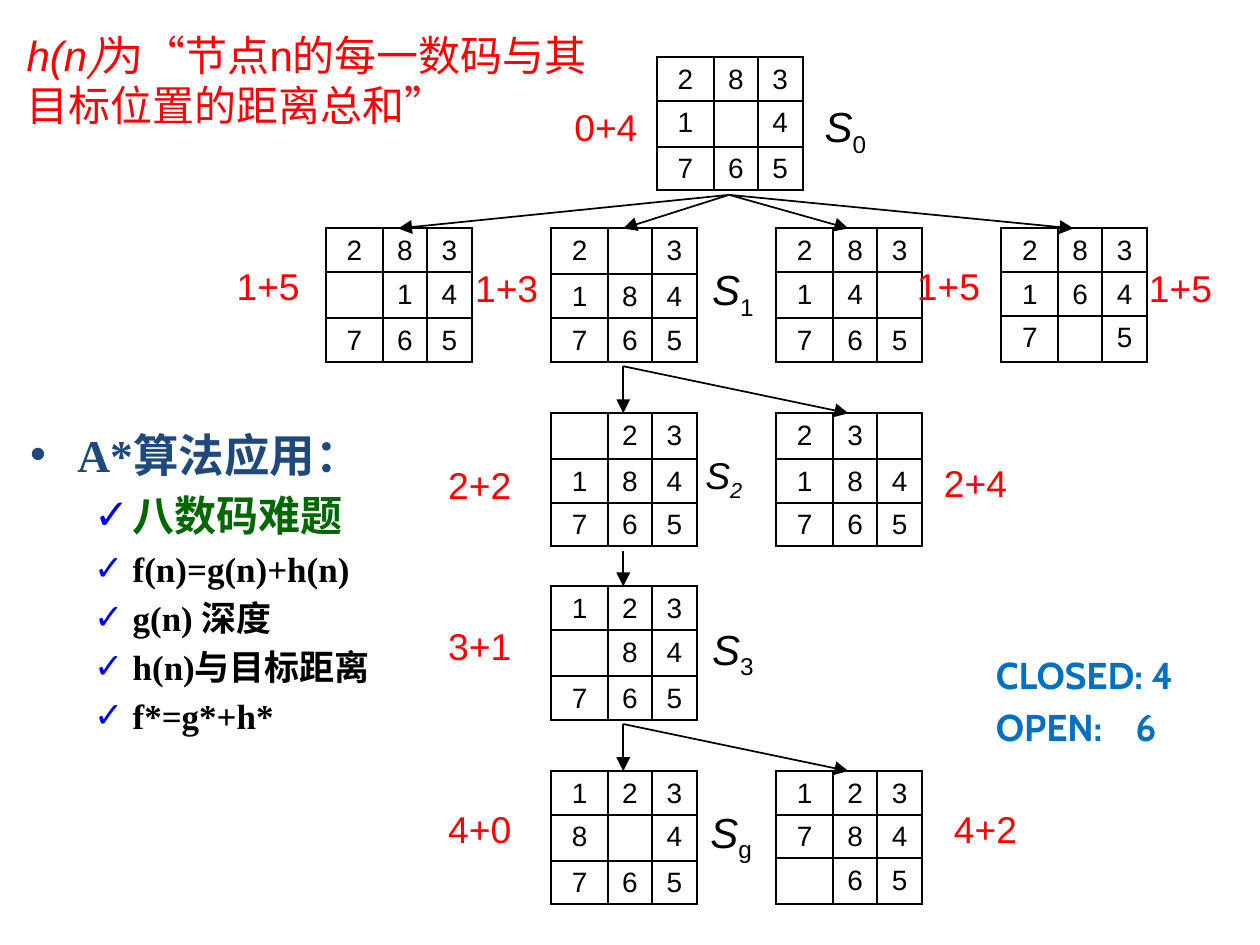
from lxml import etree
from pptx import Presentation
from pptx import util as u
from pptx.dml.color import RGBColor
from pptx.enum import shapes, text
from pptx.oxml import ns


def color(hex_code):
    return RGBColor.from_string(hex_code)


def add_run(paragraph, words, size, face, hex_code, bold=False, italic=False):
    run = paragraph.add_run()
    run.text = words
    run.font.size = u.Pt(size)
    run.font.name = face
    run.font.bold = bold
    run.font.italic = italic
    run.font.color.rgb = color(hex_code)
    etree.SubElement(run.font._element, ns.qn("a:ea"), typeface="Noto Sans CJK SC")
    return run


deck = Presentation()
deck.slide_width = u.Inches(7.5)
deck.slide_height = u.Inches(7.5 * 3 / 4)
slide = deck.slides.add_slide(deck.slide_layouts[1])
heading = slide.shapes.title._element
heading.getparent().remove(heading)

outline = slide.placeholders[1]
outline.left, outline.top = u.Inches(0.08), u.Inches(2.49)
outline.width, outline.height = u.Inches(2.25), u.Inches(2.26)
outline.text_frame.auto_size = text.MSO_AUTO_SIZE.NONE
outline_items = [
    ("A*算法应用：", 19.5, "1F497D"),
    ("八数码难题", 18, "006600"),
    ("f(n)=g(n)+h(n)", 15, "000000"),
    ("g(n) 深度", 15, "000000"),
    ("h(n)与目标距离", 15, "000000"),
    ("f*=g*+h*", 15, "000000"),
]
for index, (words, size, hue) in enumerate(outline_items):
    item = outline.text_frame.paragraphs[0] if index == 0 else outline.text_frame.add_paragraph()
    item.level = min(index, 1)
    item.line_spacing = u.Pt(size * 1.2)
    item.space_before = u.Pt(size * 0.2 if index else 0)
    properties = item._p.get_or_add_pPr()
    indent, hanging, mark = (0.61, 0.23, "✓") if index else (0.28, 0.28, "•")
    properties.set("marL", str(u.Inches(indent)))
    properties.set("indent", str(-u.Inches(hanging)))
    if index:
        bullet_color = etree.SubElement(properties, ns.qn("a:buClr"))
        etree.SubElement(bullet_color, ns.qn("a:srgbClr"), val="0000FF")
    etree.SubElement(properties, ns.qn("a:buChar"), char=mark)
    add_run(item, words, size, "Times New Roman", hue, bold=True)

column_lefts = [1.94 + 1.34 * column for column in range(4)]
level_tops = [0.34, 1.36, 2.46, 3.49, 4.59]
boards = [
    (3.91, 0, "283 1_4 765"),
    (column_lefts[0], 1, "283 _14 765"),
    (column_lefts[1], 1, "2_3 184 765"),
    (column_lefts[2], 1, "283 14_ 765"),
    (column_lefts[3], 1, "283 164 7_5"),
    (column_lefts[1], 2, "_23 184 765"),
    (column_lefts[2], 2, "23_ 184 765"),
    (column_lefts[1], 3, "123 _84 765"),
    (column_lefts[1], 4, "123 8_4 765"),
    (column_lefts[2], 4, "123 784 _65"),
]
for left, level, digits in boards:
    board = slide.shapes.add_table(
        3, 3, u.Inches(left), u.Inches(level_tops[level]), u.Inches(0.87), u.Inches(0.78)
    ).table
    board.first_row = False
    board.horz_banding = False
    for column, width in enumerate((0.34, 0.26, 0.27)):
        board.columns[column].width = u.Inches(width)
    for row, row_digits in enumerate(digits.split()):
        board.rows[row].height = u.Inches(0.26)
        for column, digit in enumerate(row_digits):
            cell = board.cell(row, column)
            cell.margin_left = cell.margin_right = u.Inches(0.07)
            cell.margin_top, cell.margin_bottom = u.Inches(0.04), u.Inches(0.03)
            for side in ("lnL", "lnR", "lnT", "lnB"):
                border = etree.SubElement(
                    cell._tc.get_or_add_tcPr(), ns.qn("a:" + side), w=str(u.Pt(1))
                )
                border_fill = etree.SubElement(border, ns.qn("a:solidFill"))
                etree.SubElement(border_fill, ns.qn("a:srgbClr"), val="000000")
            cell.fill.background()
            tile = cell.text_frame.paragraphs[0]
            tile.alignment = text.PP_ALIGN.CENTER
            if digit == "_":
                tile._p.get_or_add_endParaRPr().set("sz", "1200")
            else:
                add_run(tile, digit, 12, "Arial", "000000")

board_middle = 0.43
centers = [left + board_middle for left in column_lefts]
moves = [(3.91 + board_middle, 0, center) for center in centers]
moves += [
    (centers[1], 1, centers[1]),
    (centers[1], 1, centers[2]),
    (centers[1], 2, centers[1]),
    (centers[1], 3, centers[1]),
    (centers[1], 3, centers[2]),
]
for start, level, end in moves:
    move = slide.shapes.add_connector(
        shapes.MSO_CONNECTOR.STRAIGHT,
        u.Inches(start), u.Inches(level_tops[level] + 0.82),
        u.Inches(end), u.Inches(level_tops[level + 1]),
    )
    move.line.color.rgb = color("000000")
    move.line.width = u.Pt(0.75)
    etree.SubElement(move.line._get_or_add_ln(), ns.qn("a:tailEnd"), type="triangle")
    etree.SubElement(move._element.spPr, ns.qn("a:effectLst"))

costs = [
    (3.32, 0.57, 0.71, "0+4"),
    (1.31, 1.52, 0.79, "1+5"),
    (2.73, 1.53, 0.87, "1+3"),
    (5.36, 1.52, 0.63, "1+5"),
    (6.74, 1.53, 0.61, "1+5"),
    (2.57, 2.7, 0.67, "2+2"),
    (5.52, 2.69, 0.75, "2+4"),
    (2.57, 3.66, 0.67, "3+1"),
    (2.57, 4.75, 0.67, "4+0"),
    (5.58, 4.75, 0.81, "4+2"),
]
for left, top, width, words in costs:
    cost = slide.shapes.add_textbox(u.Inches(left), u.Inches(top), u.Inches(width), u.Inches(0.37))
    cost.text_frame.word_wrap = True
    add_run(cost.text_frame.paragraphs[0], words, 16, "Arial", "FF0000")

states = [
    (4.81, 0.55, 0.4, "0", 18),
    (4.14, 1.52, 0.4, "1", 18),
    (4.1, 2.64, 0.37, "2", 16),
    (4.14, 3.66, 0.4, "3", 18),
    (4.13, 4.75, 0.4, "g", 18),
]
for left, top, height, subscript, size in states:
    state = slide.shapes.add_textbox(u.Inches(left), u.Inches(top), u.Inches(0.55), u.Inches(height))
    state.text_frame.word_wrap = True
    symbol = state.text_frame.paragraphs[0]
    add_run(symbol, "S", size, "Arial", "000000", italic=True)
    lowered = add_run(symbol, subscript, size, "Arial", "000000", italic=subscript == "2")
    lowered.font._element.set("baseline", "-25000")

heuristic = slide.shapes.add_textbox(u.Inches(0.06), u.Inches(0.13), u.Inches(3.75), u.Inches(0.71))
heuristic.text_frame.word_wrap = True
definition = heuristic.text_frame.paragraphs[0]
definition.line_spacing = u.Pt(21.4)
add_run(definition, "h(n", 18, "Arial", "FF0000", italic=True)
add_run(definition, ")", 18, "Noto Sans CJK SC", "FF0000", italic=True)
add_run(definition, "为“节点n的每一数码与其目标位置的距离总和”", 18, "Arial", "FF0000")

totals = slide.shapes.add_textbox(u.Inches(5.83), u.Inches(3.88), u.Inches(1.83), u.Inches(0.64))
totals.text_frame.word_wrap = True
totals.text_frame.margin_top = 0
closed = totals.text_frame.paragraphs[0]
add_run(closed, "CLOSED: 4", 16, "Cabin", "0070C0", bold=True)
opened = totals.text_frame.add_paragraph()
opened.space_before = u.Pt(3.2)
tabs = etree.SubElement(opened._p.get_or_add_pPr(), ns.qn("a:tabLst"))
etree.SubElement(tabs, ns.qn("a:tab"), pos=str(u.Inches(0.83)), algn="l")
add_run(opened, "OPEN:\t6", 16, "Cabin", "0070C0", bold=True)

deck.save("out.pptx")
